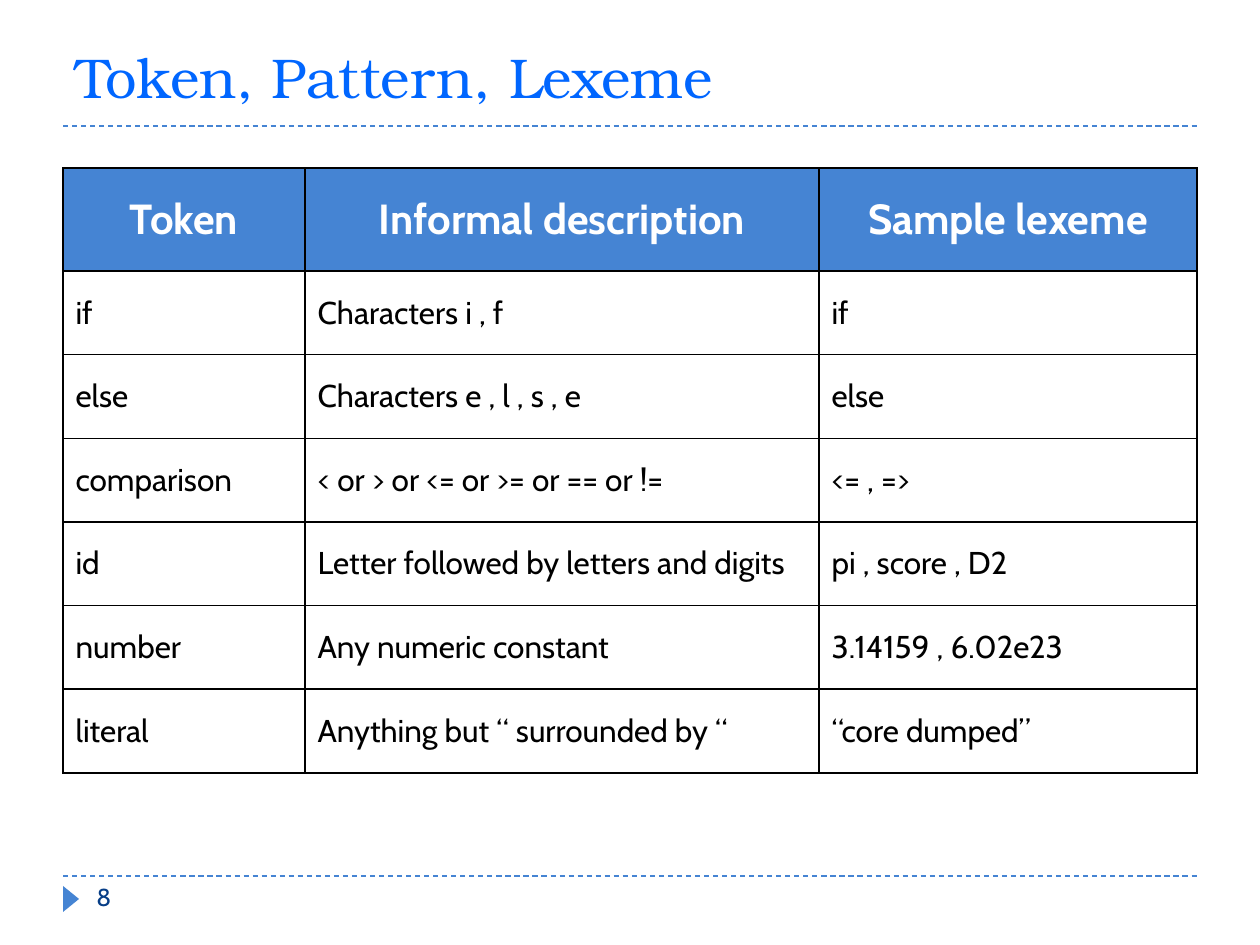
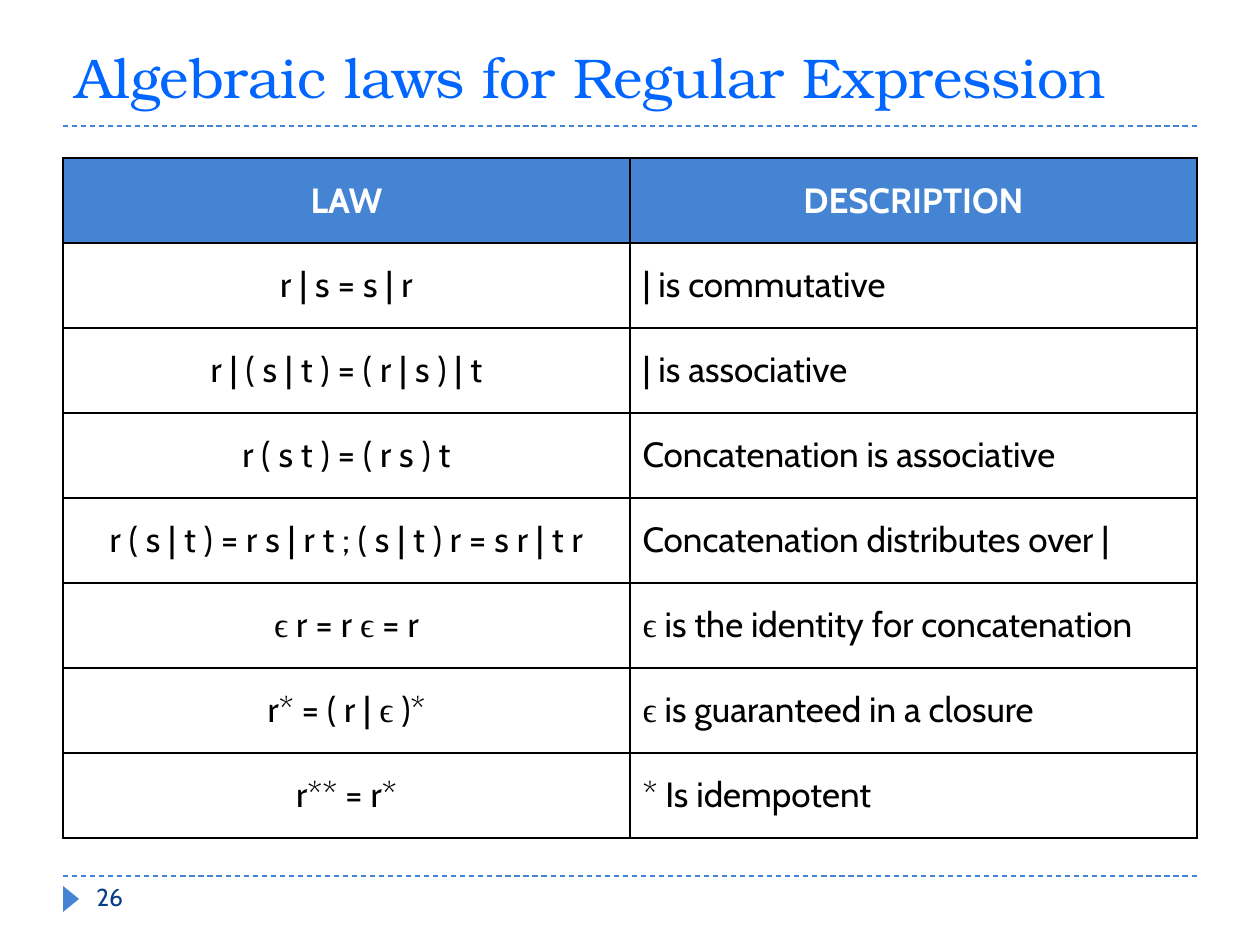
from dataclasses import dataclass
from itertools import groupby

from lxml.etree import SubElement
from pptx import Presentation
from pptx.dml.color import RGBColor
from pptx.enum.dml import MSO_LINE
from pptx.enum.shapes import MSO_CONNECTOR, MSO_SHAPE
from pptx.enum.text import MSO_ANCHOR, MSO_AUTO_SIZE, PP_ALIGN
from pptx.oxml import parse_xml
from pptx.oxml.ns import nsdecls, qn
from pptx.util import Emu, Pt

# Shared look: 126 px to the inch
PX_PER_INCH = 126
MARGIN, CONTENT_WIDTH = 63, 1134
TITLE_RULE_Y, FOOTER_RULE_Y = 126, 876

BLUE, TITLE_BLUE, NUMBER_BLUE = "4584D3", "0066FF", "073E87"
BLACK, WHITE = "000000", "FFFFFF"
BODY_FONT, TITLE_FONT, SYMBOL_FONT = "Cabin", "TeX Gyre Bonum", "Times New Roman"
EPSILON = "ϵ"


@dataclass(frozen=True)
class TextStyle:
    size: int
    color: str
    font: str = BODY_FONT
    bold: bool = False
    align: PP_ALIGN = PP_ALIGN.LEFT


@dataclass(frozen=True)
class TableSlide:
    title: str
    number: int
    top: int
    height: int
    header_height: int
    column_widths: tuple[int, ...]
    header_size: int
    body_size: int
    column_aligns: tuple[PP_ALIGN, ...]
    rows: tuple[tuple[str, ...], ...]


TOKENS = TableSlide(
    title="Token, Pattern, Lexeme",
    number=8,
    top=168,
    height=605,
    header_height=103,
    column_widths=(242, 514, 378),
    header_size=24,
    body_size=18,
    column_aligns=(PP_ALIGN.LEFT,) * 3,
    rows=(
        ("Token", "Informal description", "Sample lexeme"),
        ("if", "Characters i , f", "if"),
        ("else", "Characters e , l , s , e", "else"),
        ("comparison", "< or > or <= or >= or == or !=", "<= , =>"),
        ("id", "Letter followed by letters and digits", "pi , score , D2"),
        ("number", "Any numeric constant", "3.14159 , 6.02e23"),
        ("literal", "Anything but “ surrounded by “", "“core dumped”"),
    ),
)

LAWS = TableSlide(
    title="Algebraic laws for Regular Expression",
    number=26,
    top=158,
    height=680,
    header_height=85,
    column_widths=(567, 567),
    header_size=20,
    body_size=20,
    column_aligns=(PP_ALIGN.CENTER, PP_ALIGN.LEFT),
    rows=(
        ("LAW", "DESCRIPTION"),
        ("r | s = s | r", "| is commutative"),
        ("r | ( s | t ) = ( r | s ) | t", "| is associative"),
        ("r ( s t ) = ( r s ) t", "Concatenation is associative"),
        ("r ( s | t ) = r s | r t ; ( s | t ) r = s r | t r",
         "Concatenation distributes over |"),
        ("ϵ r = r ϵ = r", "ϵ is the identity for concatenation"),
        ("r* = ( r | ϵ )*", "ϵ is guaranteed in a closure"),
        ("r** = r*", "* Is idempotent"),
    ),
)


def px(length: int) -> Emu:
    return Emu(round(length * 914400 / PX_PER_INCH))


def rgb(color: str) -> RGBColor:
    return RGBColor.from_string(color)


def write(paragraph, text: str, style: TextStyle) -> None:
    """Write text in one style, with each epsilon in the symbol font."""
    paragraph.alignment = style.align
    font = paragraph.font
    font.size, font.bold = Pt(style.size), style.bold
    font.color.rgb = rgb(style.color)
    if EPSILON not in text:
        font.name = style.font
        paragraph.add_run().text = text
        return
    for is_symbol, characters in groupby(text, lambda character: character == EPSILON):
        run = paragraph.add_run()
        run.text = "".join(characters)
        run.font.name = SYMBOL_FONT if is_symbol else style.font


def add_rule(slide, y: int) -> None:
    rule = slide.shapes.add_connector(
        MSO_CONNECTOR.STRAIGHT, px(MARGIN), px(y), px(MARGIN + CONTENT_WIDTH), px(y))
    rule.line.color.rgb = rgb(BLUE)
    rule.line.width = Pt(0.75)
    rule.line.dash_style = MSO_LINE.DASH
    SubElement(rule._element.spPr, qn("a:effectLst"))


def add_frame(slide, title_text: str, number: int) -> None:
    """Title, dashed rules and the page marker with its number."""
    add_rule(slide, FOOTER_RULE_Y)
    add_rule(slide, TITLE_RULE_Y)

    # Page marker
    marker = slide.shapes.add_shape(
        MSO_SHAPE.ISOSCELES_TRIANGLE, px(58), px(891), px(26), px(16))
    marker.rotation = 90
    marker.shadow.inherit = False
    marker.fill.solid()
    marker.fill.fore_color.rgb = rgb(BLUE)
    marker.line.fill.background()

    # Title
    title = slide.shapes.title
    title.left, title.top = px(MARGIN), px(21)
    title.width, title.height = px(CONTENT_WIDTH), px(95)
    title.text_frame.auto_size = MSO_AUTO_SIZE.NONE
    title.text_frame.vertical_anchor = MSO_ANCHOR.BOTTOM
    write(title.text_frame.paragraphs[0], title_text,
          TextStyle(32, TITLE_BLUE, TITLE_FONT))

    # Page number
    page = slide.shapes.add_textbox(px(84), px(FOOTER_RULE_Y), px(63), px(50))
    page.text_frame.word_wrap = True
    write(page.text_frame.paragraphs[0], str(number), TextStyle(14, NUMBER_BLUE))


def add_borders(cell) -> None:
    properties = cell._tc.get_or_add_tcPr()
    for position, side in enumerate("LRTB"):
        properties.insert(position, parse_xml(
            f'<a:ln{side} {nsdecls("a")} w="{Pt(1)}"><a:solidFill>'
            f'<a:srgbClr val="{BLACK}"/></a:solidFill></a:ln{side}>'))


def add_grid(slide, content: TableSlide) -> None:
    """Bordered table with a blue header and equal body rows."""
    grid = slide.shapes.add_table(
        len(content.rows), len(content.column_widths),
        px(MARGIN), px(content.top), px(CONTENT_WIDTH), px(content.height)).table
    grid.first_row = grid.horz_banding = False
    for column, width in zip(grid.columns, content.column_widths):
        column.width = px(width)

    header_style = TextStyle(content.header_size, WHITE, bold=True, align=PP_ALIGN.CENTER)
    body_height = px(content.height - content.header_height) // (len(content.rows) - 1)
    for row_index, texts in enumerate(content.rows):
        is_header = row_index == 0
        grid.rows[row_index].height = px(content.header_height) if is_header else Emu(body_height)
        for column_index, (text, align) in enumerate(zip(texts, content.column_aligns)):
            cell = grid.cell(row_index, column_index)
            cell.vertical_anchor = MSO_ANCHOR.MIDDLE
            if is_header:
                cell.fill.solid()
                cell.fill.fore_color.rgb = rgb(BLUE)
                style = header_style
            else:
                cell.fill.background()
                style = TextStyle(content.body_size, BLACK, align=align)
            add_borders(cell)
            write(cell.text_frame.paragraphs[0], text, style)


def main() -> None:
    deck = Presentation()
    deck.slide_width, deck.slide_height = px(1260), px(945)
    title_only = deck.slide_layouts[5]
    for content in (TOKENS, LAWS):
        slide = deck.slides.add_slide(title_only)
        add_frame(slide, content.title, content.number)
        add_grid(slide, content)
    deck.save("out.pptx")


if __name__ == "__main__":
    main()
